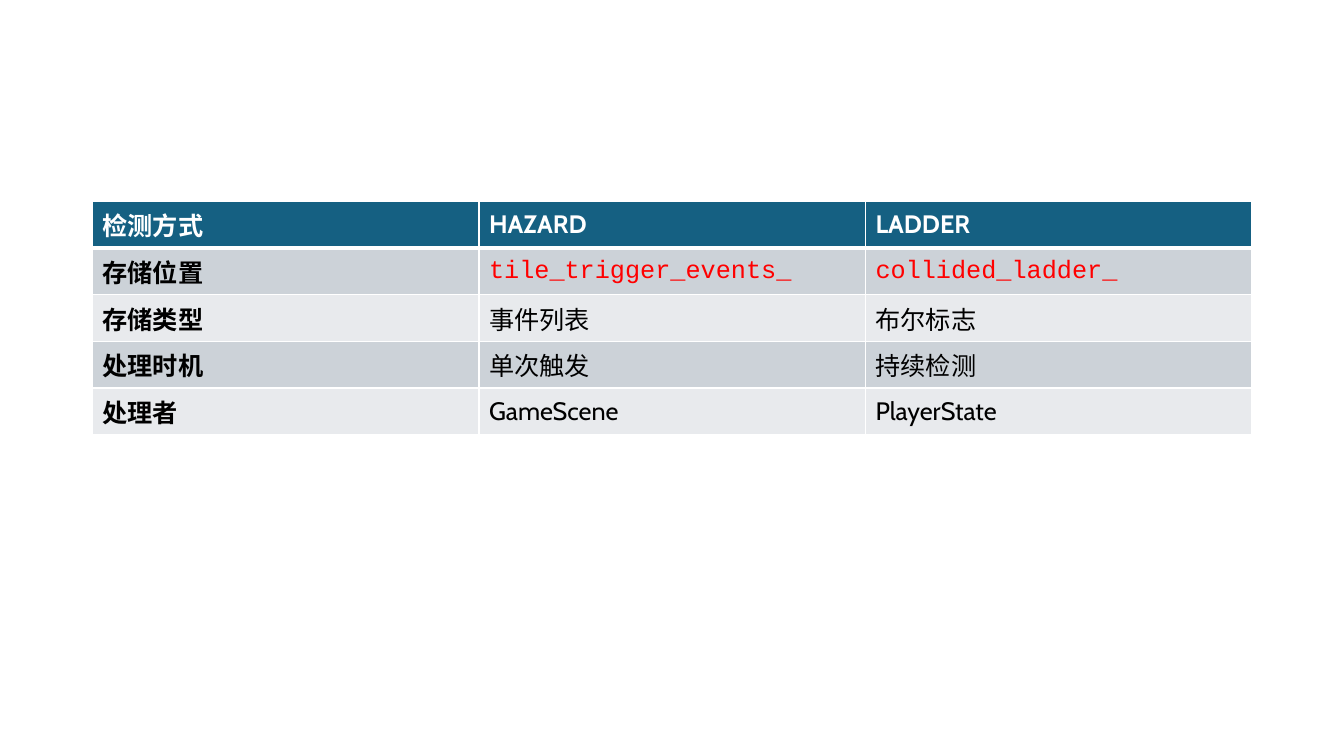
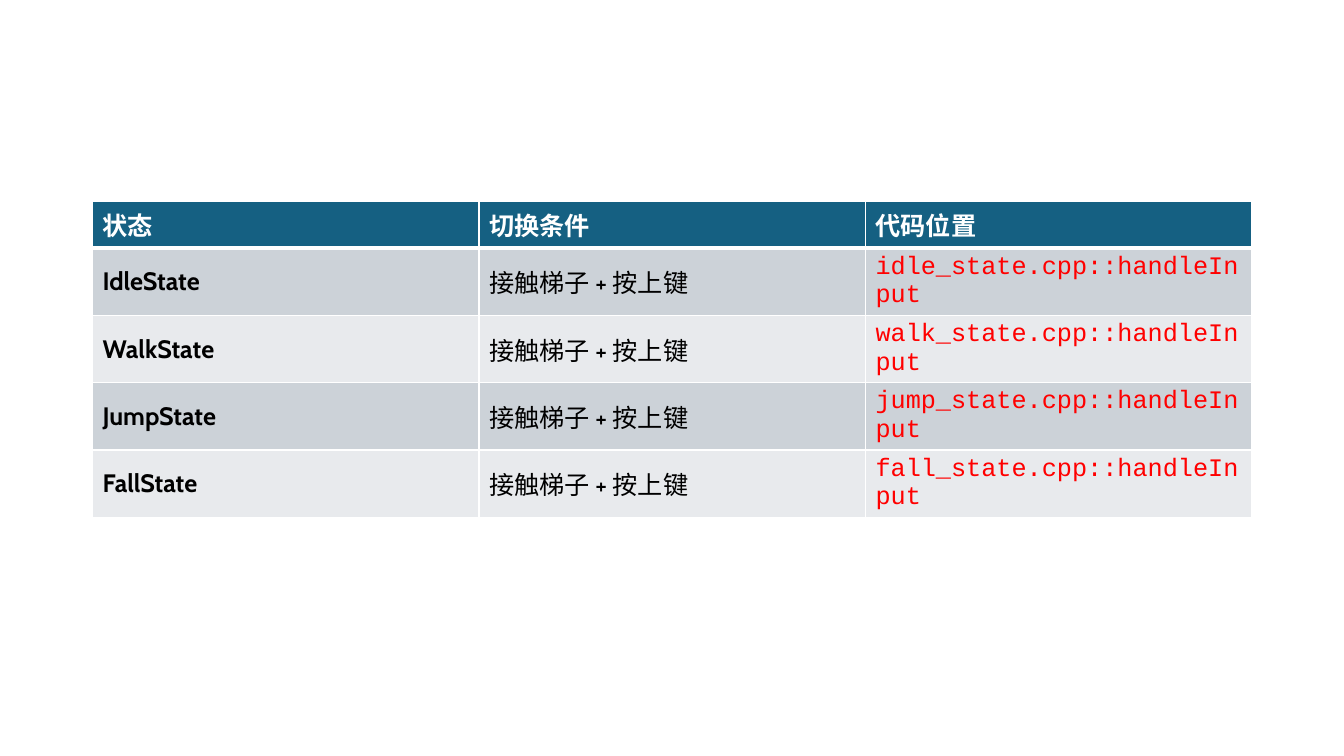
from dataclasses import dataclass

from lxml.etree import SubElement
from pptx import Presentation
from pptx.dml.color import RGBColor as Color
from pptx.enum.text import MSO_VERTICAL_ANCHOR as Anchor
from pptx.oxml.ns import qn
from pptx.util import Cm, Pt


@dataclass(frozen=True)
class Theme:
    header: str = "156082"
    bands: tuple = ("CCD2D8", "E8EAED")
    border: str = "FFFFFF"
    header_text: str = "FFFFFF"
    body_text: str = "000000"
    code_text: str = "FF0000"
    body_font: str = "Cabin"
    code_font: str = "Courier New"
    text_size: int = 18
    thin_line: int = 1
    header_line: int = 3


class Code(str):
    pass


class Deck:
    def __init__(self, theme):
        self.theme = theme
        self.presentation = Presentation()
        self.presentation.slide_width = Cm(33.87)
        self.presentation.slide_height = Cm(19.05)
        self.slide = None

    def add_slide(self):
        blank_layout = self.presentation.slide_layouts[6]
        self.slide = self.presentation.slides.add_slide(blank_layout)

    def add_table(self, rows, left=2.33, top=5.08, column_width=9.74, row_height=1.03):
        column_count = len(rows[0])
        table = self.slide.shapes.add_table(
            len(rows), column_count, Cm(left), Cm(top),
            Cm(column_width * column_count), Cm(row_height * len(rows)),
        ).table
        for column in table.columns:
            column.width = Cm(column_width)
        for row_index, row in enumerate(rows):
            table.rows[row_index].height = Cm(row_height)
            for column_index, text in enumerate(row):
                cell = table.cell(row_index, column_index)
                self.style_cell(cell, row_index)
                self.write_cell(cell, text, row_index == 0, column_index == 0)

    def style_cell(self, cell, row_index):
        theme = self.theme
        top_width = theme.header_line if row_index == 1 else theme.thin_line
        bottom_width = theme.header_line if row_index == 0 else theme.thin_line
        self.add_border(cell, "a:lnL", theme.thin_line)
        self.add_border(cell, "a:lnR", theme.thin_line)
        self.add_border(cell, "a:lnT", top_width)
        self.add_border(cell, "a:lnB", bottom_width)
        band = theme.bands[(row_index - 1) % len(theme.bands)]
        cell.fill.solid()
        cell.fill.fore_color.rgb = Color.from_string(band if row_index else theme.header)
        cell.vertical_anchor = Anchor.MIDDLE

    def add_border(self, cell, tag, width):
        properties = cell._tc.get_or_add_tcPr()
        line = SubElement(properties, qn(tag), w=str(Pt(width)))
        fill = SubElement(line, qn("a:solidFill"))
        SubElement(fill, qn("a:srgbClr"), val=self.theme.border)

    def write_cell(self, cell, text, is_header, is_label):
        theme = self.theme
        is_code = isinstance(text, Code)
        cell.text_frame.text = text
        font = cell.text_frame.paragraphs[0].runs[0].font
        font.name = theme.code_font if is_code else theme.body_font
        font.size = Pt(theme.text_size)
        font.bold = is_header or is_label
        body_color = theme.code_text if is_code else theme.body_text
        font.color.rgb = Color.from_string(theme.header_text if is_header else body_color)

    def save(self):
        self.presentation.save("out.pptx")


def main():
    deck = Deck(Theme())

    deck.add_slide()
    deck.add_table([
        ("检测方式", "HAZARD", "LADDER"),
        ("存储位置", Code("tile_trigger_events_"), Code("collided_ladder_")),
        ("存储类型", "事件列表", "布尔标志"),
        ("处理时机", "单次触发", "持续检测"),
        ("处理者", "GameScene", "PlayerState"),
    ])

    deck.add_slide()
    states = ("Idle", "Walk", "Jump", "Fall")
    deck.add_table([
        ("状态", "切换条件", "代码位置"),
        *(
            (f"{state}State", "接触梯子 + 按上键", Code(f"{state.lower()}_state.cpp::handleInput"))
            for state in states
        ),
    ])

    deck.save()


if __name__ == "__main__":
    main()
